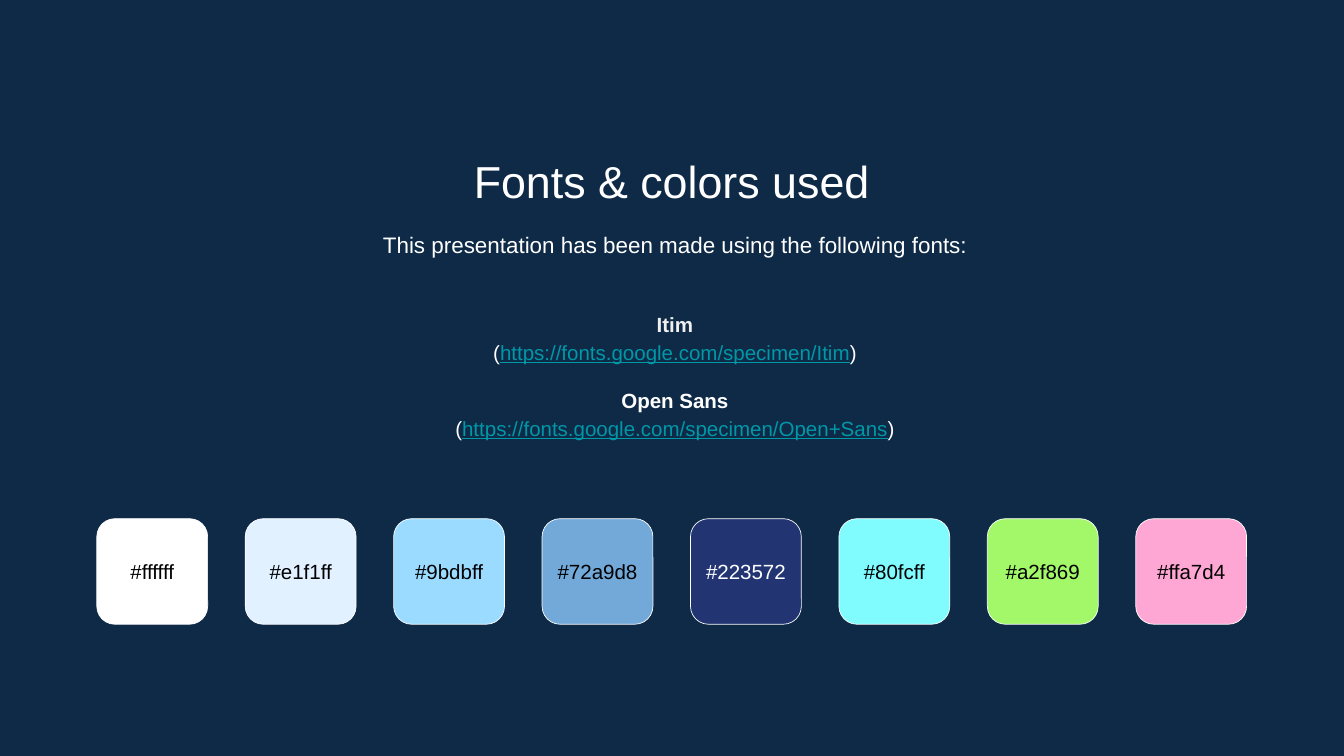
from dataclasses import dataclass

from pptx import Presentation
from pptx.dml.color import RGBColor
from pptx.enum.shapes import MSO_SHAPE
from pptx.enum.text import MSO_ANCHOR, PP_ALIGN
from pptx.util import Cm, Pt

ROUNDED = MSO_SHAPE.ROUNDED_RECTANGLE
TOP, MIDDLE = MSO_ANCHOR.TOP, MSO_ANCHOR.MIDDLE
CENTER = PP_ALIGN.CENTER


@dataclass(frozen=True)
class Theme:
    font: str = "Arial"
    background: str = "0E2A47"
    light: str = "FFFFFF"
    soft: str = "EFEFEF"
    dark: str = "000000"
    link: str = "0097A7"
    title: int = 48
    intro: int = 24
    body: int = 22
    spacing: float = 1.15
    font_gap: int = 21


@dataclass(frozen=True)
class Box:
    left: float
    top: float
    width: float
    height: float


@dataclass(frozen=True)
class FontEntry:
    name: str
    url: str
    color: str


@dataclass(frozen=True)
class Swatch:
    code: str
    text_color: str


THEME = Theme()
TITLE_BOX = Box(5.82, 5.31, 39.14, 2.69)
INTRO_BOX = Box(5.94, 8.1, 39.14, 2.44)
FONTS_BOX = Box(5.94, 10.67, 39.14, 6.96)
FONTS = [
    FontEntry("Itim", "https://fonts.google.com/specimen/Itim", THEME.soft),
    FontEntry("Open Sans", "https://fonts.google.com/specimen/Open+Sans", THEME.light),
]

SWATCHES = [
    Swatch("#ffffff", THEME.dark),
    Swatch("#e1f1ff", THEME.dark),
    Swatch("#9bdbff", THEME.dark),
    Swatch("#72a9d8", THEME.dark),
    Swatch("#223572", THEME.light),
    Swatch("#80fcff", THEME.dark),
    Swatch("#a2f869", THEME.dark),
    Swatch("#ffa7d4", THEME.dark),
]
FIRST_TILE = Box(3.66, 19.61, 4.19, 3.99)
TILE_PITCH = 5.61
LABEL_HEIGHT = 2.34
INSET = Cm(0.5)


def rgb(code: str) -> RGBColor:
    return RGBColor.from_string(code.lstrip("#").upper())


def place(box: Box) -> tuple:
    return Cm(box.left), Cm(box.top), Cm(box.width), Cm(box.height)


def add_frame(s, box: Box, anchor=TOP):
    tf = s.shapes.add_textbox(*place(box)).text_frame
    tf.word_wrap = True
    tf.vertical_anchor = anchor
    tf.margin_left = tf.margin_right = tf.margin_top = tf.margin_bottom = INSET
    return tf


def style(p, size: int, spacing: float = 1.0) -> None:
    p.alignment = CENTER
    p.line_spacing = spacing
    p.font.name = THEME.font
    p.font.size = Pt(size)


def add_line(s, box: Box, text: str, size: int, color: str,
             spacing: float = 1.0, anchor=TOP) -> None:
    p = add_frame(s, box, anchor).paragraphs[0]
    p.text = text
    style(p, size, spacing)
    p.font.color.rgb = rgb(color)


def add_fonts(s, box: Box, entries: list[FontEntry]) -> None:
    tf = add_frame(s, box, MIDDLE)
    for i, entry in enumerate(entries):
        p = tf.add_paragraph() if i else tf.paragraphs[0]
        p.text = entry.name
        style(p, THEME.body, THEME.spacing)
        p.font.bold = True
        p.font.color.rgb = rgb(entry.color)
        if i:
            p.space_before = Pt(THEME.font_gap)

        p = tf.add_paragraph()
        style(p, THEME.body, THEME.spacing)
        for text, is_link in (("(", False), (entry.url, True), (")", False)):
            r = p.add_run()
            r.text = text
            r.font.underline = is_link
            r.font.color.rgb = rgb(THEME.link if is_link else THEME.light)


def add_swatch(s, index: int, swatch: Swatch) -> None:
    left = FIRST_TILE.left + index * TILE_PITCH
    tile = Box(left, FIRST_TILE.top, FIRST_TILE.width, FIRST_TILE.height)
    sp = s.shapes.add_shape(ROUNDED, *place(tile))
    sp.shadow.inherit = False
    sp.adjustments[0] = 0.17
    sp.fill.solid()
    sp.fill.fore_color.rgb = rgb(swatch.code)
    sp.line.color.rgb = rgb(THEME.light)
    sp.line.width = Pt(0.75)

    label_top = tile.top + (tile.height - LABEL_HEIGHT) / 2
    label = Box(left, label_top, tile.width, LABEL_HEIGHT)
    add_line(s, label, swatch.code, THEME.body, swatch.text_color, anchor=MIDDLE)


def main() -> None:
    prs = Presentation()
    prs.slide_width, prs.slide_height = Cm(50.8), Cm(28.58)
    s = prs.slides.add_slide(prs.slide_layouts[6])
    s.background.fill.solid()
    s.background.fill.fore_color.rgb = rgb(THEME.background)

    add_line(s, TITLE_BOX, "Fonts & colors used", THEME.title, THEME.light)
    add_line(s, INTRO_BOX, "This presentation has been made using the following fonts:",
             THEME.intro, THEME.light, THEME.spacing)
    add_fonts(s, FONTS_BOX, FONTS)
    for i, swatch in enumerate(SWATCHES):
        add_swatch(s, i, swatch)

    prs.save("out.pptx")


if __name__ == "__main__":
    main()
